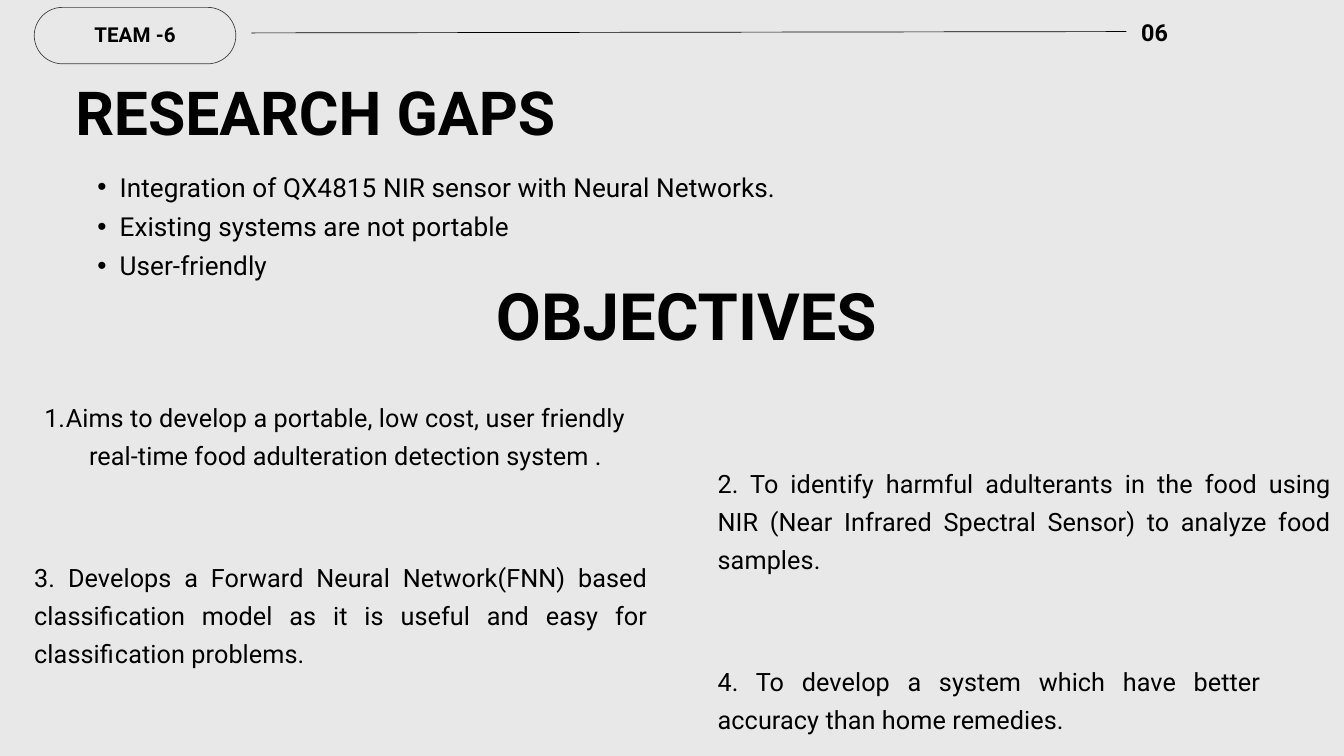
import pptx
import pptx.dml.color
import pptx.enum.shapes
import pptx.enum.text
import pptx.oxml.ns
import pptx.util
import lxml.etree

COLUMNS, ROWS = 20, 11.25
UNIT = pptx.util.Inches(1)
FONT, BULLET_FONT = "Roboto", "Arial"
INK, OUTLINE, PAPER = "000000", "3D3D3D", "E8E8E8"
ALIGN = pptx.enum.text.PP_ALIGN
OBJECTIVE_SIZE, OBJECTIVE_LEADING = 27, 40.5


def color(hex_string):
    return pptx.dml.color.RGBColor.from_string(hex_string)


def grid(*cells):
    return [round(cell * UNIT) for cell in cells]


def add_child(parent, tag, **attributes):
    child = lxml.etree.SubElement(parent, pptx.oxml.ns.qn(tag))
    for name, value in attributes.items():
        child.set(name, value)
    return child


def set_bullet(paragraph, indent, font, tag, **attributes):
    paragraph.level = 1
    properties = paragraph._p.get_or_add_pPr()
    properties.set("marL", str(round(2 * indent * UNIT)))
    properties.set("indent", str(round(-indent * UNIT)))
    add_child(properties, "a:buFont", typeface=font)
    add_child(properties, tag, **attributes)


def write(shape, box, lines, size, leading, align=ALIGN.LEFT, bold=False, spacing=10):
    shape.left, shape.top, shape.width, shape.height = grid(*box)
    frame = shape.text_frame
    frame.word_wrap = True
    frame.auto_size = pptx.enum.text.MSO_AUTO_SIZE.NONE
    frame.vertical_anchor = pptx.enum.text.MSO_ANCHOR.TOP
    frame.margin_left = frame.margin_top = frame.margin_right = frame.margin_bottom = 0
    for index, line in enumerate(lines):
        paragraph = frame.add_paragraph() if index else frame.paragraphs[0]
        paragraph.alignment = align
        paragraph.line_spacing = pptx.util.Pt(leading)
        paragraph.space_before = paragraph.space_after = pptx.util.Pt(0)
        run = paragraph.add_run()
        run.text = line
        run.font.name = FONT
        run.font.size = pptx.util.Pt(size)
        run.font.bold = bold
        run.font.color.rgb = color(INK)
        run._r.get_or_add_rPr().set("spc", str(spacing))
    return frame.paragraphs


def add_text(slide, box, line, size, leading, **style):
    text_box = slide.shapes.add_textbox(*grid(*box))
    return write(text_box, box, [line], size, leading, **style)


def add_header(slide, box, team, number):
    left, top, width, height = box
    pill = slide.shapes.add_shape(
        pptx.enum.shapes.MSO_SHAPE.ROUNDED_RECTANGLE, *grid(left, top, 3, height))
    pill.adjustments[0] = 0.5
    pill.shadow.inherit = False
    pill.fill.background()
    pill.line.color.rgb = color(OUTLINE)
    pill.line.width = pptx.util.Pt(0.75)
    add_text(slide, (left + 0.24, top + 0.12, 2.52, 0.43), team, 22, 33,
             align=ALIGN.CENTER, bold=True)

    number_left = left + width - 0.62
    rule = slide.shapes.add_connector(
        pptx.enum.shapes.MSO_CONNECTOR.STRAIGHT,
        *grid(left + 3.23, top + 0.38, number_left, top + 0.36))
    rule.line.color.rgb = color(INK)
    rule.line.width = pptx.util.Pt(0.75)
    add_child(rule._element.spPr, "a:effectLst")
    add_text(slide, (number_left, top + 0.06, 0.62, 0.5), number, 25, 37.5,
             align=ALIGN.RIGHT, bold=True)


def add_research_gaps(slide, box, heading, gaps):
    left, top, width, height = box
    title, body = slide.placeholders
    write(title, (left, top, 8.58, 1.08), [heading], 65, 78, bold=True, spacing=0)
    list_box = (left, top + 1.31, width, height - 1.31)
    for paragraph in write(body, list_box, gaps, 28, 42):
        set_bullet(paragraph, 0.33, BULLET_FONT, "a:buChar", char="•")


def add_objectives(slide, box, heading, first, others):
    left, top, width, height = box
    add_text(slide, (left + 7.12, top, 6.59, 1.19), heading, 70, 84, bold=True, spacing=0)
    numbered = add_text(slide, (left, top + 1.77, 9.13, 1.09), first,
                        OBJECTIVE_SIZE, OBJECTIVE_LEADING, align=ALIGN.CENTER)
    set_bullet(numbered[0], 0.32, FONT, "a:buAutoNum", type="arabicPeriod")
    for column, row, columns, rows, line in others:
        add_text(slide, (left + column, top + row, columns, rows), line,
                 OBJECTIVE_SIZE, OBJECTIVE_LEADING, align=ALIGN.JUSTIFY)


def main():
    presentation = pptx.Presentation()
    presentation.slide_width, presentation.slide_height = grid(COLUMNS, ROWS)
    slide = presentation.slides.add_slide(presentation.slide_layouts[1])
    slide.background.fill.solid()
    slide.background.fill.fore_color.rgb = color(PAPER)

    add_header(slide, (0.51, 0.11, 16.87, 0.84), "TEAM -6", "06")
    add_research_gaps(slide, (1.12, 1.12, 11.82, 3.01), "RESEARCH GAPS", [
        "Integration of QX4815 NIR sensor with Neural Networks.",
        "Existing systems are not portable",
        "User-friendly",
    ])
    add_objectives(
        slide, (0.26, 4.1, 19.55, 6.8), "OBJECTIVES",
        "Aims to develop a portable, low cost, user friendly real-time food "
        "adulteration detection system .",
        [
            (10.42, 2.76, 9.13, 1.64,
             "2. To identify harmful adulterants in the food using NIR (Near Infrared "
             "Spectral Sensor) to analyze food samples. "),
            (0.25, 4.16, 9.13, 1.64,
             "3. Develops a Forward Neural Network(FNN) based classification model as it "
             "is useful and easy for classification problems."),
            (10.42, 5.71, 8.08, 1.09,
             "4. To develop a system which have better accuracy than home remedies."),
        ])
    presentation.save("out.pptx")


if __name__ == "__main__":
    main()
